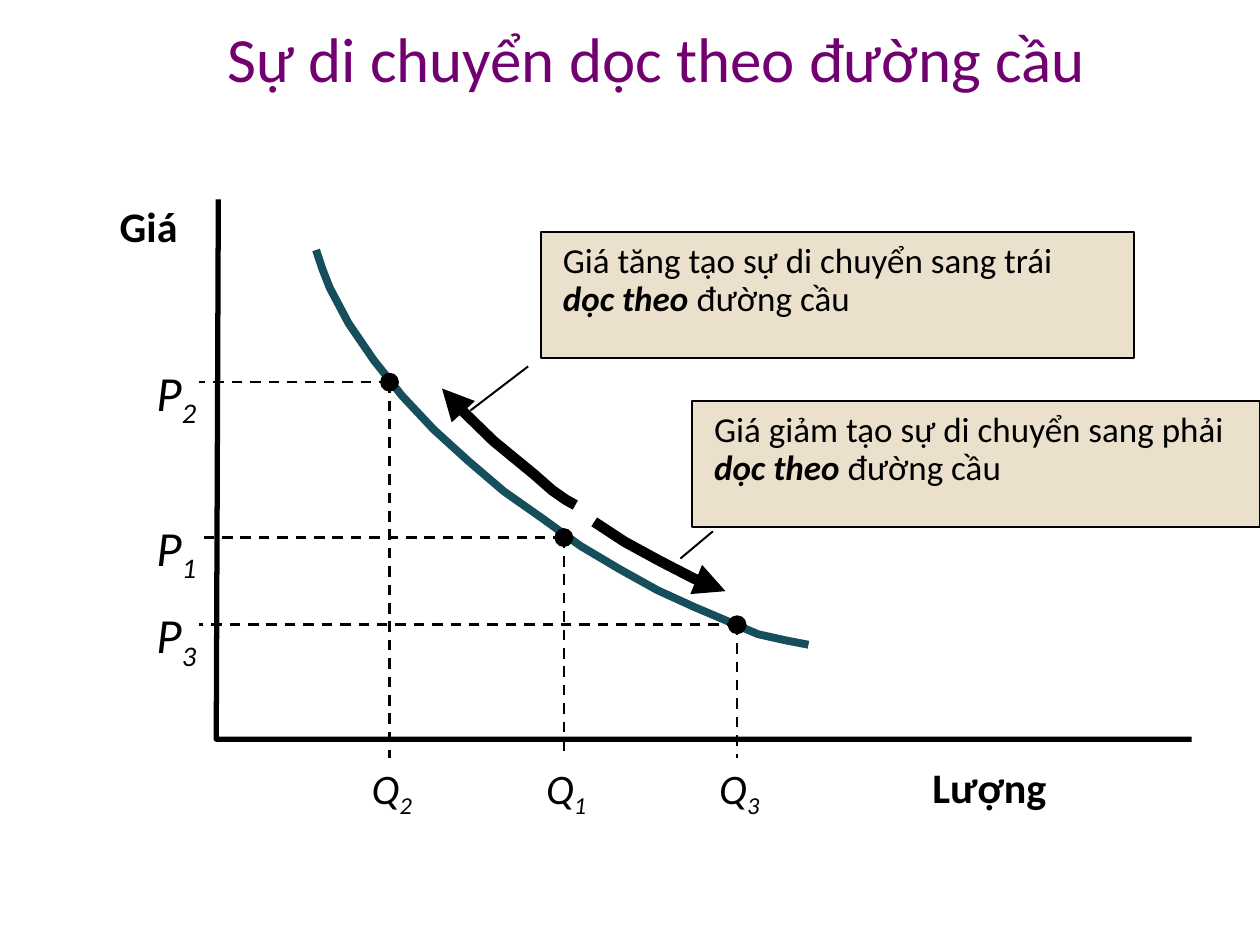
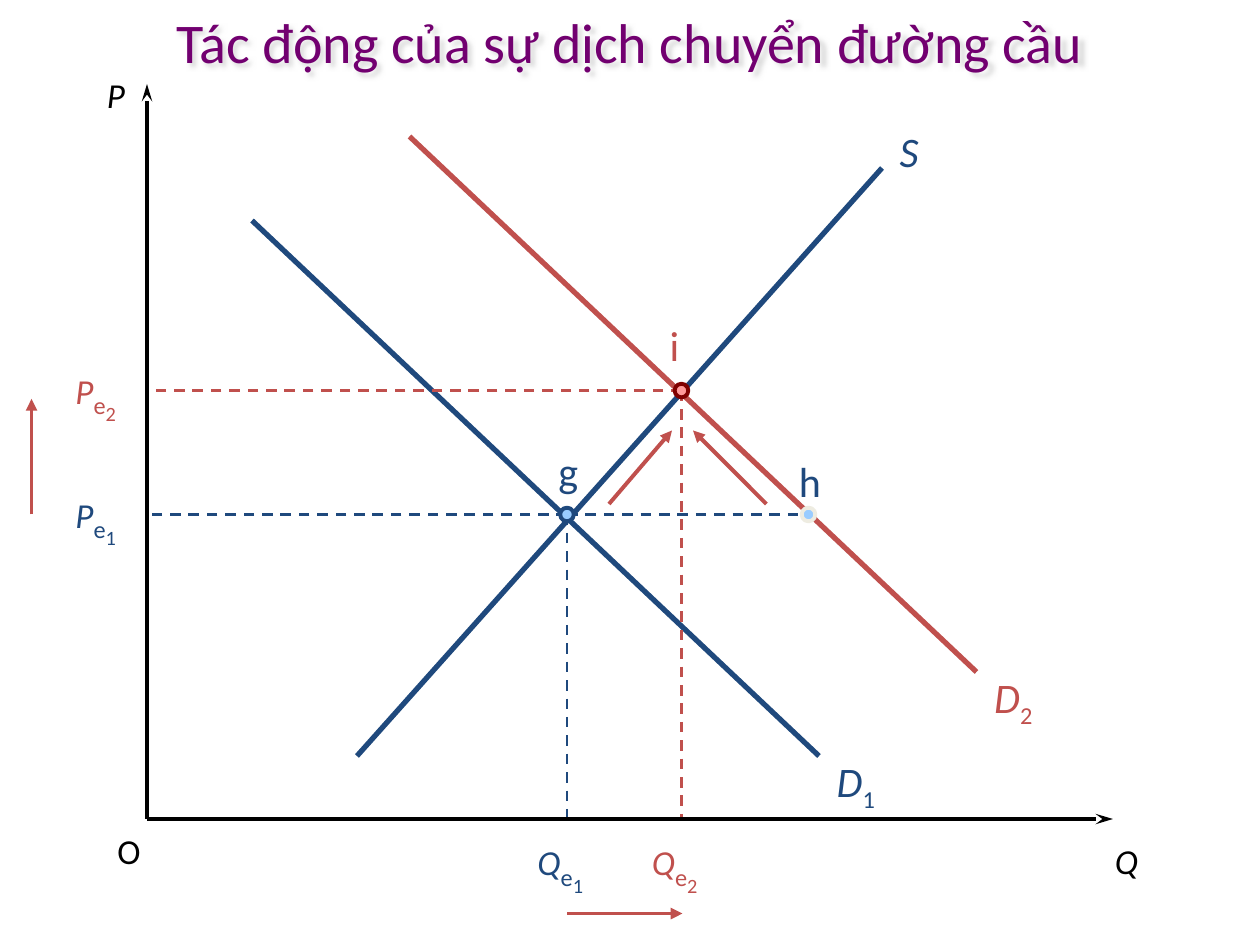
from collections import namedtuple

from lxml.etree import SubElement
from pptx import Presentation
from pptx.dml.color import RGBColor
from pptx.enum.dml import MSO_LINE
from pptx.enum.shapes import MSO_CONNECTOR, MSO_SHAPE
from pptx.enum.text import MSO_ANCHOR, MSO_AUTO_SIZE, PP_ALIGN
from pptx.oxml.ns import qn
from pptx.util import Inches, Pt

FONT = "Calibri"
PURPLE = RGBColor(0x72, 0x00, 0x70)
BLACK = RGBColor(0x00, 0x00, 0x00)
TEAL = RGBColor(0x17, 0x4E, 0x5C)
SAND = RGBColor(0xEB, 0xE0, 0xCC)
NAVY = RGBColor(0x1F, 0x49, 0x7D)
RED = RGBColor(0xC0, 0x50, 0x4D)
MAROON = RGBColor(0x80, 0x00, 0x00)
PINK = RGBColor(0xFF, 0x99, 0x99)
SKY = RGBColor(0x99, 0xCC, 0xFF)
IVORY = RGBColor(0xEE, 0xEC, 0xE1)
SILVER = RGBColor(0xC0, 0xC0, 0xC0)

# The slide is a grid of 120 columns by 90 rows.
SLIDE_WIDTH, SLIDE_HEIGHT = Inches(10), Inches(7.5)
CELL = SLIDE_WIDTH / 120
PADDING = (1.2, 0.6)
ARROW_LENGTHS = {"triangle": "med", "stealth": "lg"}

Run = namedtuple("Run", "text size bold italic baseline",
                 defaults=(False, False, 0))


def grid(*cells):
    return [round(cell * CELL) for cell in cells]


def add_runs(paragraph, runs, color):
    for part in runs:
        run = paragraph.add_run()
        run.text = part.text
        run.font.name = FONT
        run.font.size = Pt(part.size)
        run.font.bold = part.bold
        run.font.italic = part.italic
        run.font.color.rgb = color
        if part.baseline:
            run._r.get_or_add_rPr().set("baseline", str(part.baseline * 1000))


def set_margins(frame, across, down):
    frame.margin_left, frame.margin_top = grid(across, down)
    frame.margin_right, frame.margin_bottom = grid(across, down)


def add_title(slide, text, box, size):
    title = slide.shapes.title
    title.left, title.top, title.width, title.height = grid(*box)
    frame = title.text_frame
    frame.auto_size = MSO_AUTO_SIZE.NONE
    frame.vertical_anchor = MSO_ANCHOR.MIDDLE
    frame.paragraphs[0].alignment = PP_ALIGN.CENTER
    add_runs(frame.paragraphs[0], [Run(text, size)], PURPLE)
    return title


def shade_title(title):
    """Give the letters of an unfilled title a soft shadow."""
    title.fill.background()
    title.shadow.inherit = False
    effects = title._element.spPr.find(qn("a:effectLst"))
    shadow = SubElement(effects, qn("a:outerShdw"), blurRad="38100",
                        dist="25400", dir="2700000", algn="tl")
    color = SubElement(shadow, qn("a:srgbClr"), val=str(SILVER))
    SubElement(color, qn("a:alpha"), val="60000")


def add_label(slide, box, runs, color=BLACK, padding=PADDING, wrap=False):
    frame = slide.shapes.add_textbox(*grid(*box)).text_frame
    frame.word_wrap = wrap
    frame.auto_size = MSO_AUTO_SIZE.SHAPE_TO_FIT_TEXT
    set_margins(frame, *padding)
    add_runs(frame.paragraphs[0], runs, color)


def style_stroke(stroke, color, width, arrow=None):
    stroke.line.color.rgb = color
    stroke.line.width = Pt(width)
    if arrow:
        outline = stroke._element.spPr.find(qn("a:ln"))
        SubElement(outline, qn("a:tailEnd"), type=arrow,
                   len=ARROW_LENGTHS[arrow])


def add_line(slide, start, end, color, width, arrow=None, dashed=False):
    line = slide.shapes.add_connector(MSO_CONNECTOR.STRAIGHT,
                                      *grid(*start, *end))
    if dashed:
        line.line.dash_style = MSO_LINE.DASH
    style_stroke(line, color, width, arrow)
    SubElement(line._element.spPr, qn("a:effectLst"))


def add_guides(slide, point, left, bottom, color):
    """Dashed lines from a point of the curve to both axes."""
    x, y = point
    for end in ((left, y), (x, bottom)):
        add_line(slide, point, end, color, 1.5, dashed=True)


def add_curve(slide, points, color, width, arrow=None):
    corners = [grid(*point) for point in points]
    builder = slide.shapes.build_freeform(*corners[0], scale=1.0)
    builder.add_line_segments(corners[1:], close=False)
    curve = builder.convert_to_shape()
    curve.shadow.inherit = False
    curve.fill.background()
    style_stroke(curve, color, width, arrow)


def add_dot(slide, center, diameter, fill, ring=None):
    x, y = center
    dot = slide.shapes.add_shape(MSO_SHAPE.OVAL, *grid(
        x - diameter / 2, y - diameter / 2, diameter, diameter))
    dot.shadow.inherit = False
    dot.fill.solid()
    dot.fill.fore_color.rgb = fill
    if ring:
        style_stroke(dot, ring, 2.25)
    else:
        dot.line.fill.background()


def add_callout(slide, box, opening, pointer):
    note = slide.shapes.add_shape(MSO_SHAPE.RECTANGLE, *grid(*box))
    note.shadow.inherit = False
    note.fill.solid()
    note.fill.fore_color.rgb = SAND
    style_stroke(note, BLACK, 1.13)
    frame = note.text_frame
    frame.word_wrap = True
    frame.vertical_anchor = MSO_ANCHOR.TOP
    set_margins(frame, 2.1, 1.1)
    paragraph = frame.paragraphs[0]
    paragraph.alignment = PP_ALIGN.LEFT
    paragraph.line_spacing = 0.9
    add_runs(paragraph, [Run(opening, 20), Run("dọc theo ", 20, True, True),
                         Run("đường cầu", 20)], BLACK)
    add_line(slide, *pointer, BLACK, 1.13)


def build_movement_along_demand(slide):
    add_title(slide, "Sự di chuyển dọc theo đường cầu", (6, 0, 113, 11), 36)
    add_curve(slide, [(20.8, 19), (20.6, 70.4), (113.5, 70.4)], BLACK, 3)
    for name, box in (("Lượng", (88.8, 72.5, 11.4, 4.8)),
                      ("Giá", (11.4, 19.1, 6.4, 4.8))):
        add_label(slide, box, [Run(name, 24, bold=True)], padding=(0, 0),
                  wrap=True)

    demand = [(77, 61.4), (74.9, 61), (72.2, 60.4), (69.4, 59.2), (66.1, 57.8),
              (62.6, 56.2), (59, 54.2), (55.3, 52), (51.7, 49.4), (48, 46.8),
              (44.6, 43.9), (41.3, 40.9), (38.3, 37.7), (35.6, 34.3),
              (33.2, 30.8), (31.4, 27.4), (30.7, 25.6), (30.1, 23.8)]
    add_curve(slide, demand, TEAL, 4.5)

    for number, x, y in (("2", 37.1, 36.4), ("1", 53.7, 51.2),
                         ("3", 70.2, 59.5)):
        add_guides(slide, (x, y), 19, 72.2, BLACK)
        add_dot(slide, (x, y), 1.8, BLACK)
        for letter, size, box in (("P", 28, (14.9, y - 1.9, 4.4, 6.4)),
                                  ("Q", 24, (x - 1.7, 72.6, 4.4, 5.5))):
            add_label(slide, box,
                      [Run(letter, size, italic=True),
                       Run(number, size, italic=True, baseline=-25)],
                      padding=(0, 0), wrap=True)

    price_rise = [(54.8, 48.1), (53.9, 47.6), (52.6, 46.7), (50.9, 45.2),
                  (47, 42), (43.4, 38.5), (42.1, 37)]
    price_fall = [(56.6, 49.7), (59.5, 51.6), (62.8, 53.4), (66.1, 55.1),
                  (69.1, 56.3)]
    for movement in (price_rise, price_fall):
        add_curve(slide, movement, BLACK, 6, "triangle")

    add_callout(slide, (51.5, 22.1, 56.5, 12),
                "Giá tăng tạo sự di chuyển sang trái ",
                ((50.3, 34.9), (44.8, 39.1)))
    add_callout(slide, (65.9, 38.2, 54.1, 12),
                "Giá giảm tạo sự di chuyển sang phải ",
                ((67.9, 50.6), (64.8, 53.2)))


def build_demand_shift(slide):
    title = add_title(slide, "Tác động của sự dịch chuyển đường cầu",
                      (0, 0, 120, 7.8), 32)
    shade_title(title)

    origin = (14, 78)
    for name, italic, box in (("P", True, (9, 6.4, 4.4, 5.2)),
                              ("Q", True, (105, 79.4, 4.7, 5.2)),
                              ("O", False, (10, 78.4, 4.7, 5.2))):
        add_label(slide, box, [Run(name, 20, italic=italic)])

    for start, end, color in (((34, 72), (84, 16), NAVY),
                              ((24, 21), (78, 72), NAVY),
                              ((39, 13), (93, 64), RED)):
        add_line(slide, start, end, color, 3)

    old_balance, new_balance, shortage = (54, 49), (64.9, 37.2), (77, 49)
    add_line(slide, old_balance, shortage, NAVY, 1.5, dashed=True)
    for number, point, color in (("1", old_balance, NAVY),
                                 ("2", new_balance, RED)):
        x, y = point
        add_guides(slide, point, *origin, color)
        for letter, left, top in (("P", 6, y - 3.3), ("Q", x - 4, 78.8)):
            add_label(slide, (left, top, 9, 7.3),
                      [Run(letter, 20, italic=True),
                       Run("e", 24, baseline=-25),
                       Run(number, 20, baseline=-50)], color, wrap=True)

    for end in ((106, 78), (14, 8)):
        add_line(slide, origin, end, BLACK, 2, "stealth")
    for start, end in (((3, 49), (3, 38)), ((54, 87), (65, 87)),
                       ((58, 48), (64, 41)), ((73, 48), (66, 41))):
        add_line(slide, start, end, RED, 2.25, "triangle")

    for point, fill, ring in ((old_balance, SKY, NAVY),
                              (new_balance, PINK, MAROON),
                              (shortage, SKY, IVORY)):
        add_dot(slide, point, 1.3, fill, ring)
    for name, box, color in (("g", (52, 41.8, 4.3, 6), NAVY),
                             ("h", (74.9, 42.8, 4.6, 6), NAVY),
                             ("i", (62.6, 29.8, 3.4, 6), RED)):
        add_label(slide, box, [Run(name, 24)], color)

    add_label(slide, (84.5, 11.4, 4.2, 6), [Run("S", 24, italic=True)], NAVY)
    for number, left, top, color in (("1", 78.5, 71.4, NAVY),
                                     ("2", 93.5, 63.4, RED)):
        add_label(slide, (left, top, 6.1, 6.7),
                  [Run("D", 24, italic=True), Run(number, 24, baseline=-25)],
                  color)


def main():
    deck = Presentation()
    deck.slide_width, deck.slide_height = SLIDE_WIDTH, SLIDE_HEIGHT
    title_only = deck.slide_layouts[5]
    for build in (build_movement_along_demand, build_demand_shift):
        build(deck.slides.add_slide(title_only))
    deck.save("out.pptx")


if __name__ == "__main__":
    main()
